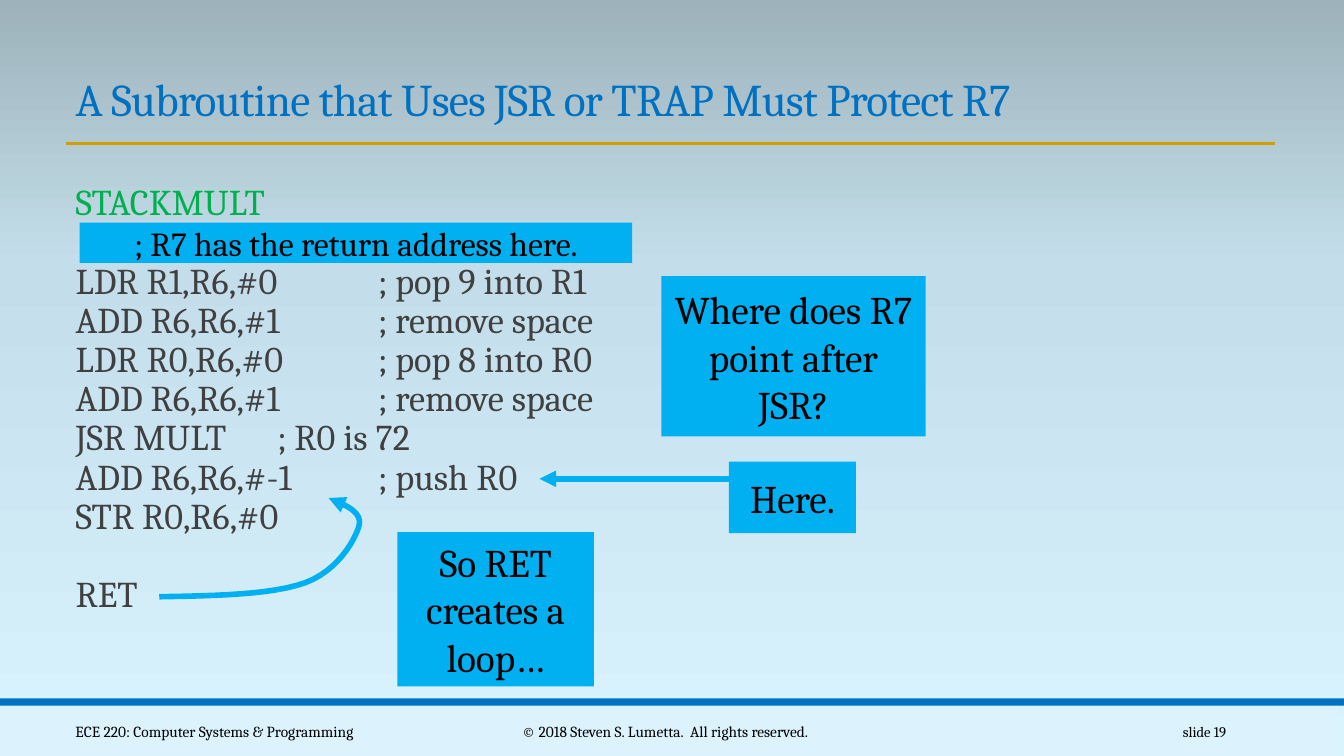
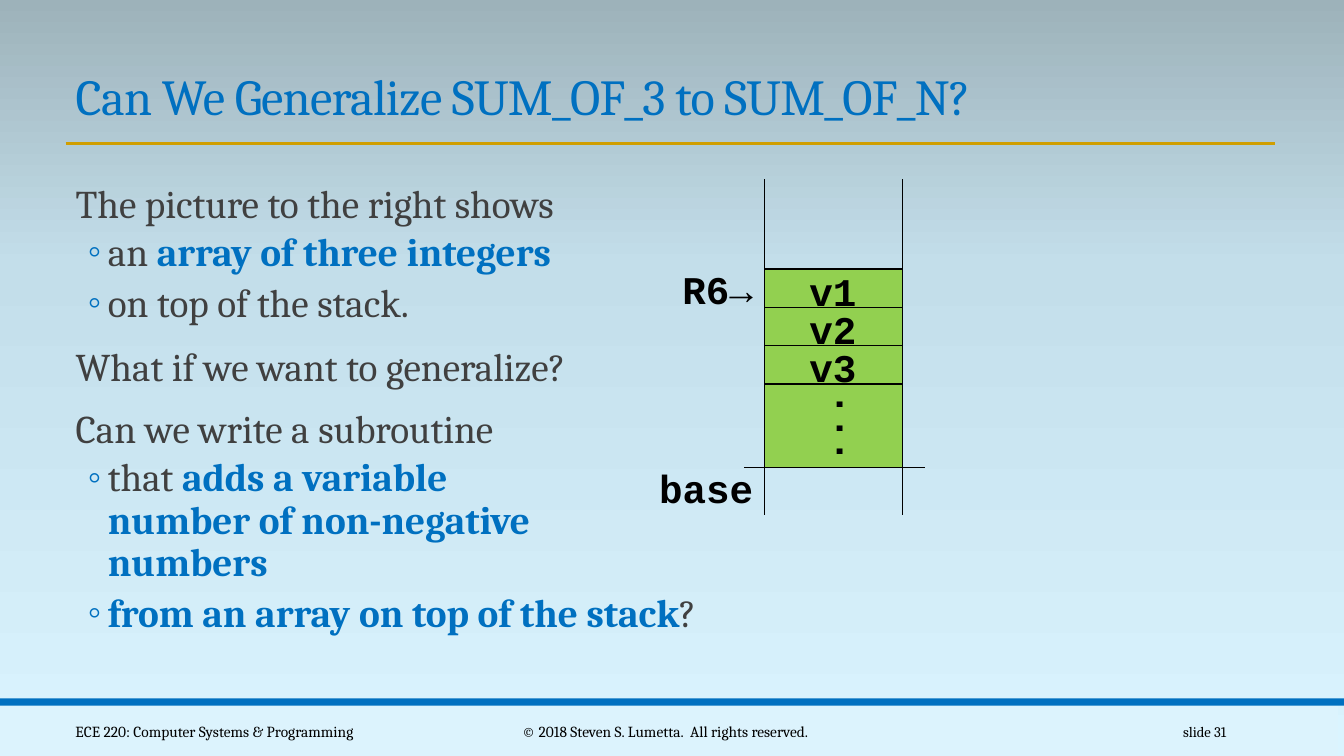
from dataclasses import dataclass

from lxml import etree
from pptx import Presentation
from pptx import util as u
from pptx.dml.color import RGBColor
from pptx.enum import shapes, text
from pptx.oxml import ns

# Shared look; lengths are px, 100 to the inch
PX = 9144
SERIF, MONO = "Cambria", "Courier New"
BLUE, SKY, GOLD = "0070C0", "00B0F0", "D09E00"
GREEN, LIME, GREY, BLACK = "00B050", "92D050", "404040", "000000"
FOOTER_FILL = "DCF3FD"
BACKGROUND = [(0, "DAF4FF"), (65, "C3DEEA"), (100, "9DB2BA")]
LEFT, CENTER, RIGHT = text.PP_ALIGN.LEFT, text.PP_ALIGN.CENTER, text.PP_ALIGN.RIGHT


@dataclass(frozen=True)
class Box:
    x: int
    y: int
    w: int
    h: int

    def emu(self) -> list[int]:
        return [px(v) for v in (self.x, self.y, self.w, self.h)]


@dataclass(frozen=True)
class Span:
    words: str
    color: str = GREY
    bold: bool = False


@dataclass(frozen=True)
class Item:
    spans: tuple[Span, ...]
    level: int = 0
    before: float = 0
    after: float = 0


@dataclass(frozen=True)
class Callout:
    words: str
    box: Box
    size: int = 28


@dataclass(frozen=True)
class Footer:
    words: str
    box: Box
    align: text.PP_ALIGN
    size: float = 11


TITLE_BOX = Box(65, 59, 1201, 71)
BODY_BOX = Box(65, 178, 852, 464)


# Helpers
def px(n: float) -> int:
    return round(n * PX)


def rgb(color: str) -> RGBColor:
    return RGBColor.from_string(color)


def sub(parent, tag: str, **attrs):
    return etree.SubElement(parent, ns.qn(tag), {k: str(v) for k, v in attrs.items()})


def add_text(p, words: str, *, size: float, color: str = BLACK, font: str = SERIF,
             bold: bool = False, spacing: int = 0) -> None:
    for i, line in enumerate(words.split("\n")):
        if i:
            p.add_line_break()
        r = p.add_run()
        r.text = line
        r.font.size, r.font.name, r.font.bold = u.Pt(size), font, bold
        r.font.color.rgb = rgb(color)
        if spacing:
            r.font._element.set("spc", str(spacing))


def add_rect(s, box: Box, fill: str, line: str | None = None):
    sp = s.shapes.add_shape(shapes.MSO_SHAPE.RECTANGLE, *box.emu())
    sp.shadow.inherit = False
    sp.fill.solid()
    sp.fill.fore_color.rgb = rgb(fill)
    if line:
        style_line(sp, line, 1)
    else:
        sp.line.fill.background()
    return sp


def style_line(sp, color: str, width: float, arrow: bool = False) -> None:
    sp.line.color.rgb = rgb(color)
    sp.line.width = u.Pt(width)
    if arrow:
        sub(sp.element.spPr.find(ns.qn("a:ln")), "a:tailEnd", type="triangle")


def add_line(s, start: tuple[int, int], end: tuple[int, int], color: str = BLACK,
             width: float = 1, arrow: bool = False):
    line = s.shapes.add_connector(shapes.MSO_CONNECTOR.STRAIGHT,
                                  *[px(v) for v in start + end])
    style_line(line, color, width, arrow)
    sub(line.element.spPr, "a:effectLst")
    return line


def add_curve(s, start: tuple[int, int], curves: list[tuple], color: str,
              width: float, steps: int = 12) -> None:
    points, p0 = [], start
    for p1, p2, p3 in curves:
        for t in (i / steps for i in range(1, steps + 1)):
            weights = ((1 - t) ** 3, 3 * t * (1 - t) ** 2, 3 * t * t * (1 - t), t ** 3)
            points.append(tuple(px(sum(w * v for w, v in zip(weights, axis)))
                                for axis in zip(p0, p1, p2, p3)))
        p0 = p3
    builder = s.shapes.build_freeform(px(start[0]), px(start[1]))
    builder.add_line_segments(points, close=False)
    sp = builder.convert_to_shape()
    sp.shadow.inherit = False
    sp.fill.background()
    style_line(sp, color, width, arrow=True)


def add_callout(s, callout: Callout) -> None:
    tf = add_rect(s, callout.box, SKY).text_frame
    tf.word_wrap = True
    tf.vertical_anchor = text.MSO_ANCHOR.MIDDLE
    tf.paragraphs[0].alignment = CENTER
    add_text(tf.paragraphs[0], callout.words, size=callout.size)


def add_label(s, words: str, box: Box, rotation: int = 0) -> None:
    sp = s.shapes.add_textbox(*box.emu())
    sp.rotation = rotation
    sp.text_frame.word_wrap = False
    add_text(sp.text_frame.paragraphs[0], words, size=28, font=MONO, bold=True)


def place(sp, box: Box) -> None:
    sp.left, sp.top, sp.width, sp.height = box.emu()


# Master: background, footer band and title rule
def style_master(prs, s) -> None:
    master = prs.slide_master
    master.background.fill.gradient()
    grad = master.element.find(".//" + ns.qn("a:gradFill"))
    stops = grad.find(ns.qn("a:gsLst"))
    stops.clear()
    for pos, color in BACKGROUND:
        sub(sub(stops, "a:gs", pos=pos * 1000), "a:srgbClr", val=color)
    grad.find(ns.qn("a:lin")).set("ang", str(270 * 60000))
    parts = [add_rect(s, Box(-6, 700, 1333, 50), FOOTER_FILL),
             add_rect(s, Box(0, 693, 1333, 7), BLUE),
             add_line(s, (65, 142), (1265, 142), GOLD, 2)]
    for i, sp in enumerate(parts):
        sp.element.find(".//" + ns.qn("p:cNvPr")).set("id", str(100 + i))
        master.shapes.element.insert(2 + i, sp.element)


# Title, body and footers of each slide
def fill_slide(s, title: str, title_size: float, items: list[Item],
               body_size: float, number: int) -> None:
    place(s.shapes.title, TITLE_BOX)
    tf = s.shapes.title.text_frame
    tf.auto_size = text.MSO_AUTO_SIZE.NONE
    tf.vertical_anchor = text.MSO_ANCHOR.BOTTOM
    p = tf.paragraphs[0]
    p.alignment, p.line_spacing = LEFT, 0.85
    add_text(p, title, size=title_size, color=BLUE, spacing=-50)

    body = s.placeholders[1]
    place(body, BODY_BOX)
    tf = body.text_frame
    tf.auto_size = text.MSO_AUTO_SIZE.NONE
    tf.margin_left = tf.margin_right = 0
    for i, item in enumerate(items):
        p = tf.add_paragraph() if i else tf.paragraphs[0]
        format_item(p, item)
        for span in item.spans:
            add_text(p, span.words, size=body_size, color=span.color, bold=span.bold)

    footers = [
        Footer("ECE 220: Computer Systems & Programming", Box(65, 706, 362, 40), LEFT),
        Footer("© 2018 Steven S. Lumetta.  All rights reserved.",
               Box(403, 706, 514, 40), CENTER),
        Footer(f"slide {number}", Box(1083, 706, 143, 40), RIGHT, 10.5),
    ]
    for footer in footers:
        tf = s.shapes.add_textbox(*footer.box.emu()).text_frame
        tf.word_wrap = True
        tf.vertical_anchor = text.MSO_ANCHOR.MIDDLE
        tf.paragraphs[0].alignment = footer.align
        add_text(tf.paragraphs[0], footer.words, size=footer.size)


def format_item(p, item: Item) -> None:
    p.level, p.alignment, p.line_spacing = item.level, LEFT, 0.9
    p.space_before, p.space_after = u.Pt(item.before), u.Pt(item.after)
    pPr = p._p.get_or_add_pPr()
    margin, indent = ((10, 0), (42, -20))[item.level]
    for key, value in (("marL", margin), ("indent", indent), ("defTabSz", 100)):
        pPr.set(key, str(px(value)))
    if item.level:
        sub(sub(pPr, "a:buClr"), "a:srgbClr", val=BLUE)
        sub(pPr, "a:buChar", char="◦")
    else:
        sub(pPr, "a:buNone")


def topic(words: str) -> Item:
    return Item((Span(words),), before=12, after=2)


def point(*spans: Span) -> Item:
    return Item(spans, level=1, before=2, after=4)


# Slide: subroutine listing with callouts
def build_subroutine(s) -> None:
    skipped_line = 28
    code = ["LDR R1,R6,#0\t; pop 9 into R1", "ADD R6,R6,#1\t; remove space",
            "LDR R0,R6,#0\t; pop 8 into R0", "ADD R6,R6,#1\t; remove space",
            "JSR MULT\t; R0 is 72", "ADD R6,R6,#-1\t; push R0", "STR R0,R6,#0", "RET"]
    items = [Item((Span("STACKMULT", GREEN),))]
    items += [Item((Span(line),), before=skipped_line if i in (0, len(code) - 1) else 0)
              for i, line in enumerate(code)]
    fill_slide(s, "A Subroutine that Uses JSR or TRAP Must Protect R7", 32.4,
               items, 25.9, 19)
    for callout in (
            Callout("; R7 has the return address here.", Box(79, 221, 548, 40), 24),
            Callout("Where does R7 point after JSR?", Box(656, 274, 262, 159)),
            Callout("Here.", Box(723, 458, 126, 71)),
            Callout("So RET creates a loop…", Box(394, 528, 195, 153))):
        add_callout(s, callout)
    add_line(s, (723, 475), (535, 475), SKY, 4, arrow=True)
    add_curve(s, (158, 592), [((214, 591), (270, 590), (303, 578)),
                              ((335, 566), (352, 536), (356, 522)),
                              ((360, 508), (343, 501), (326, 494))], SKY, 4)


# Slide: stack holding an array
def build_stack(s) -> None:
    items = [
        topic("The picture to the right shows"),
        point(Span("an "), Span("array of three integers", BLUE, True)),
        point(Span("on top of the stack.")),
        topic("What if we want to generalize?"),
        topic("Can we write a subroutine"),
        point(Span("that "),
              Span("adds a variable\nnumber of non-negative\nnumbers", BLUE, True)),
        point(Span("from an array on top of the stack", BLUE, True), Span("?")),
    ]
    fill_slide(s, "Can We Generalize SUM_OF_3 to SUM_OF_N?", 36, items, 28, 31)

    left, width, top, row, base = 758, 137, 267, 38, 464
    values = ["v1", "v2", "v3"]
    rest = top + row * len(values)
    add_rect(s, Box(left, rest, width, base - rest), LIME, BLACK)
    for x in (left, left + width):
        add_line(s, (x, 178), (x, 511))
    add_line(s, (left + width + 22, base), (left - 20, base))
    add_label(s, "base", Box(644, 456, 114, 57))
    add_label(s, "R6→", Box(667, 258, 91, 57))
    add_label(s, "...", Box(775, 396, 91, 57), rotation=270)
    for i, value in enumerate(values):
        y = top + i * row
        add_rect(s, Box(left, y, width, row), LIME, BLACK)
        add_label(s, value, Box(left + 35, y - 7, 67, 57))


def main() -> None:
    prs = Presentation()
    prs.slide_width, prs.slide_height = px(1333), px(750)
    subroutine, stack = [prs.slides.add_slide(prs.slide_layouts[1]) for _ in range(2)]
    style_master(prs, subroutine)
    build_subroutine(subroutine)
    build_stack(stack)
    prs.save("out.pptx")


if __name__ == "__main__":
    main()
